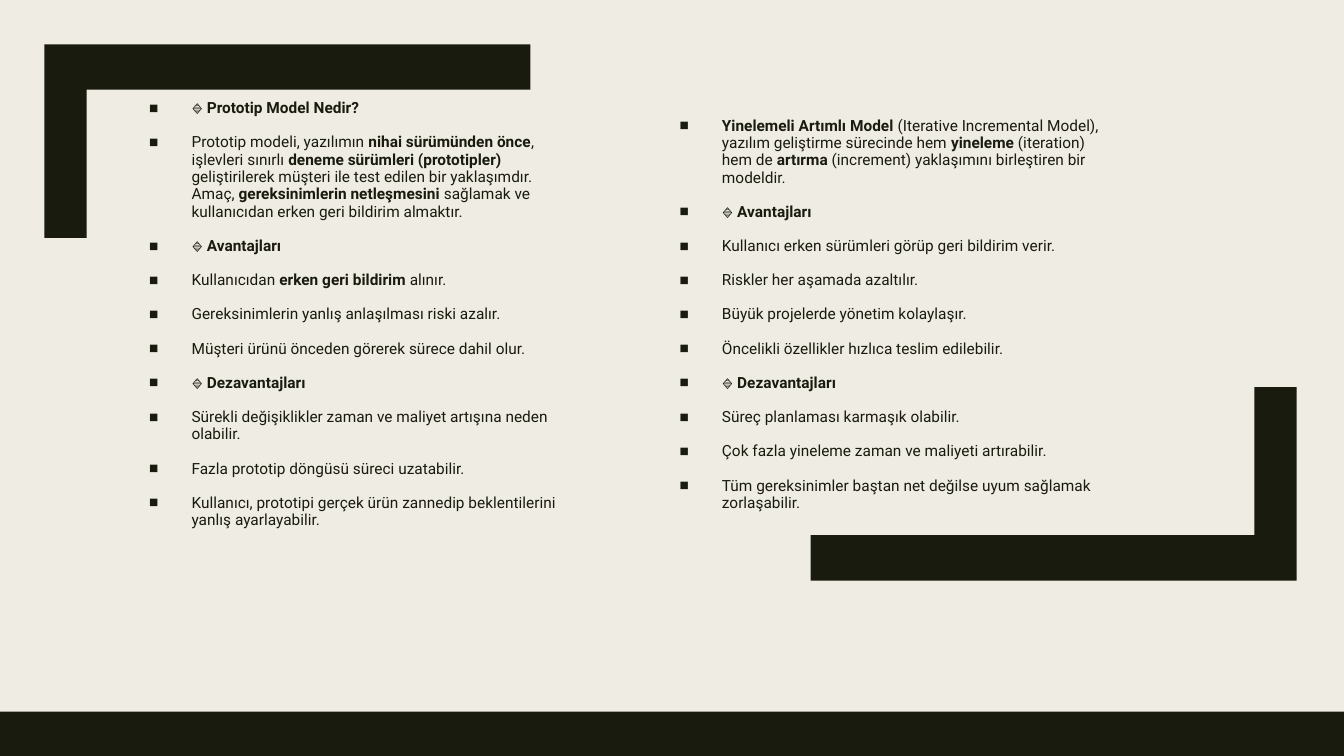
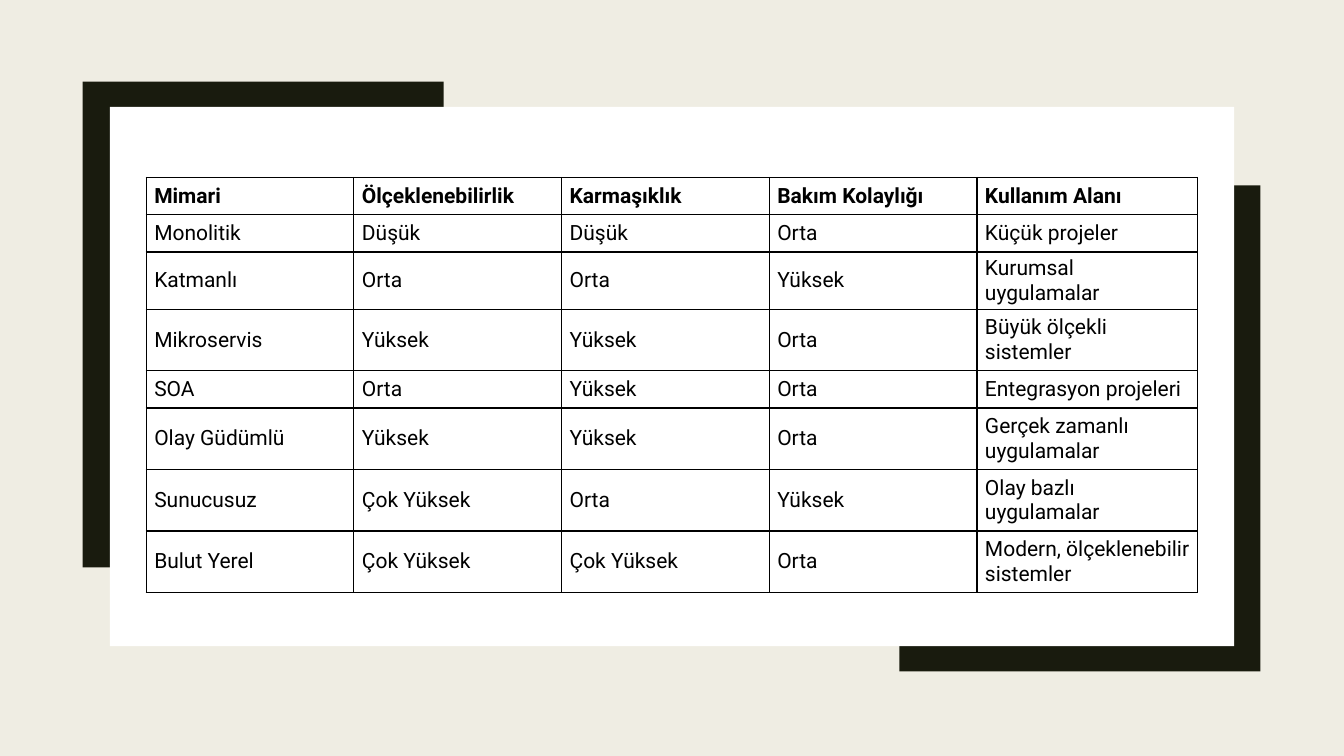
from lxml.etree import SubElement
from pptx import Presentation
from pptx.dml.color import RGBColor
from pptx.enum.shapes import MSO_SHAPE as Shape
from pptx.enum.text import MSO_ANCHOR as Anchor, MSO_AUTO_SIZE as AutoSize
from pptx.oxml.ns import qn
from pptx.util import Inches, Pt

DARK, CREAM, WHITE, BLACK = "191B0E", "EFEDE3", "FFFFFF", "000000"
FONT = "Roboto"
SLIDE_W, SLIDE_H = 13.33, 7.5

# Bold passages stand between double asterisks.
PROTOTYPE = [
    "**🔹 Prototip Model Nedir?**",
    "Prototip modeli, yazılımın **nihai sürümünden önce**, işlevleri sınırlı "
    "**deneme sürümleri (prototipler)** geliştirilerek müşteri ile test edilen bir yaklaşımdır.\n"
    "Amaç, **gereksinimlerin netleşmesini** sağlamak ve kullanıcıdan erken geri bildirim almaktır.",
    "**🔹 Avantajları**",
    "Kullanıcıdan **erken geri bildirim** alınır.",
    "Gereksinimlerin yanlış anlaşılması riski azalır.",
    "Müşteri ürünü önceden görerek sürece dahil olur.",
    "**🔹 Dezavantajları**",
    "Sürekli değişiklikler zaman ve maliyet artışına neden olabilir.",
    "Fazla prototip döngüsü süreci uzatabilir.",
    "Kullanıcı, prototipi gerçek ürün zannedip beklentilerini yanlış ayarlayabilir.",
]
ITERATIVE = [
    "**Yinelemeli Artımlı Model** (Iterative Incremental Model), yazılım geliştirme sürecinde "
    "hem **yineleme** (iteration) hem de **artırma** (increment) yaklaşımını birleştiren bir modeldir.",
    "**🔹 Avantajları**",
    "Kullanıcı erken sürümleri görüp geri bildirim verir.",
    "Riskler her aşamada azaltılır.",
    "Büyük projelerde yönetim kolaylaşır.",
    "Öncelikli özellikler hızlıca teslim edilebilir.",
    "**🔹 Dezavantajları**",
    "Süreç planlaması karmaşık olabilir.",
    "Çok fazla yineleme zaman ve maliyeti artırabilir.",
    "Tüm gereksinimler baştan net değilse uyum sağlamak zorlaşabilir.",
]
ARCHITECTURES = [
    ("Mimari", "Ölçeklenebilirlik", "Karmaşıklık", "Bakım Kolaylığı", "Kullanım Alanı"),
    ("Monolitik", "Düşük", "Düşük", "Orta", "Küçük projeler"),
    ("Katmanlı", "Orta", "Orta", "Yüksek", "Kurumsal uygulamalar"),
    ("Mikroservis", "Yüksek", "Yüksek", "Orta", "Büyük ölçekli sistemler"),
    ("SOA", "Orta", "Yüksek", "Orta", "Entegrasyon projeleri"),
    ("Olay Güdümlü", "Yüksek", "Yüksek", "Orta", "Gerçek zamanlı uygulamalar"),
    ("Sunucusuz", "Çok Yüksek", "Orta", "Yüksek", "Olay bazlı uygulamalar"),
    ("Bulut Yerel", "Çok Yüksek", "Çok Yüksek", "Orta", "Modern, ölçeklenebilir sistemler"),
]
COLUMN_WIDTHS = [2.06] * 4 + [2.19]
ROW_HEIGHTS = [0.37, 0.37, 0.37, 0.61, 0.37, 0.61, 0.61, 0.61]

PARAGRAPH = {"line_spacing": 0.94, "space_before": Pt(10), "space_after": Pt(2)}
CELL = {
    "vertical_anchor": Anchor.MIDDLE,
    "margin_left": Inches(0.08), "margin_right": Inches(0.08),
    "margin_top": Inches(0.04), "margin_bottom": Inches(0.04),
}


def apply(target, formats):
    for key, value in formats.items():
        setattr(target, key, value)


def paint(fill, color):
    fill.solid()
    fill.fore_color.rgb = RGBColor.from_string(color)


def style_font(font, size, color, bold):
    apply(font, {"name": FONT, "size": Pt(size), "bold": bold})
    font.color.rgb = RGBColor.from_string(color)


def flatten(shape, color):
    """Plain fill without outline or shadow."""
    paint(shape.fill, color)
    shape.line.fill.background()
    shape.shadow.inherit = False


def add_panel(slide, box, color):
    flatten(slide.shapes.add_shape(Shape.RECTANGLE, *map(Inches, box)), color)


def add_bracket_pair(slide, top_left, bottom_right, width, height, bar, side):
    """Two facing L-shaped brackets; bar and side are the arm thicknesses."""
    outline = [(0, 0), (width, 0), (width, bar), (side, bar), (side, height), (0, height)]
    for (x, y), sign in ((top_left, 1), (bottom_right, -1)):
        points = [(Inches(x + sign * dx), Inches(y + sign * dy)) for dx, dy in outline]
        builder = slide.shapes.build_freeform(*points[0])
        builder.add_line_segments(points[1:], close=True)
        flatten(builder.convert_to_shape(), DARK)


def set_bullet(paragraph, indent):
    props = paragraph._p.get_or_add_pPr()
    props.set("marL", str(indent))
    props.set("indent", str(-indent))
    SubElement(props, qn("a:buFont"), typeface="Arial")
    SubElement(props, qn("a:buChar"), char="■")


def fill_list(body, left, items):
    apply(body, {"left": Inches(left), "top": Inches(1.02),
                 "width": Inches(4.53), "height": Inches(4.2)})
    frame = body.text_frame
    apply(frame, {"word_wrap": True, "auto_size": AutoSize.NONE,
                  "vertical_anchor": Anchor.MIDDLE})
    for index, item in enumerate(items):
        paragraph = frame.add_paragraph() if index else frame.paragraphs[0]
        apply(paragraph, PARAGRAPH)
        set_bullet(paragraph, Inches(0.42))
        for part, passage in enumerate(item.split("**")):
            for line, words in enumerate(passage.split("\n")):
                if line:
                    paragraph.add_line_break()
                if words:
                    run = paragraph.add_run()
                    run.text = words
                    style_font(run.font, 11, DARK, part % 2 == 1)


def set_borders(cell, color, width):
    props = cell._tc.get_or_add_tcPr()
    for index, side in enumerate(("lnL", "lnR", "lnT", "lnB")):
        line = SubElement(props, qn(f"a:{side}"), w=str(width))
        SubElement(SubElement(line, qn("a:solidFill")), qn("a:srgbClr"), val=color)
        props.insert(index, line)


def add_grid(slide, left, top, rows):
    size = (sum(COLUMN_WIDTHS), sum(ROW_HEIGHTS))
    table = slide.shapes.add_table(len(rows), len(rows[0]),
                                   *map(Inches, (left, top, *size))).table
    apply(table, {"first_row": False, "horz_banding": False})
    for column, width in zip(table.columns, COLUMN_WIDTHS):
        column.width = Inches(width)
    for row, height in zip(table.rows, ROW_HEIGHTS):
        row.height = Inches(height)
    for r, texts in enumerate(rows):
        for c, text in enumerate(texts):
            cell = table.cell(r, c)
            cell.text = text
            apply(cell, CELL)
            style_font(cell.text_frame.paragraphs[0].runs[0].font, 15, BLACK, r == 0)
            paint(cell.fill, WHITE)
            set_borders(cell, BLACK, Pt(1))


def build_models(deck):
    slide = deck.slides.add_slide(deck.slide_layouts.get_by_name("Two Content"))
    add_bracket_pair(slide, (0.44, 0.44), (12.86, 5.76), 4.82, 1.92, bar=0.45, side=0.42)
    add_panel(slide, (0, 7.06, SLIDE_W, 0.44), DARK)
    columns = {1: (1.38, PROTOTYPE), 2: (6.64, ITERATIVE)}
    for holder in list(slide.placeholders):
        index = holder.placeholder_format.idx
        if index in columns:
            fill_list(holder, *columns[index])
        else:
            holder.element.getparent().remove(holder.element)


def build_comparison(deck):
    slide = deck.slides.add_slide(deck.slide_layouts.get_by_name("Blank"))
    add_bracket_pair(slide, (0.82, 0.81), (12.5, 6.66), 3.58, 4.82, bar=0.42, side=0.45)
    add_panel(slide, (1.09, 1.06, 11.15, 5.35), WHITE)
    add_grid(slide, 1.45, 1.76, ARCHITECTURES)


def main():
    deck = Presentation()
    apply(deck, {"slide_width": Inches(SLIDE_W), "slide_height": Inches(SLIDE_H)})
    paint(deck.slide_master.background.fill, CREAM)
    build_models(deck)
    build_comparison(deck)
    deck.save("out.pptx")


if __name__ == "__main__":
    main()
